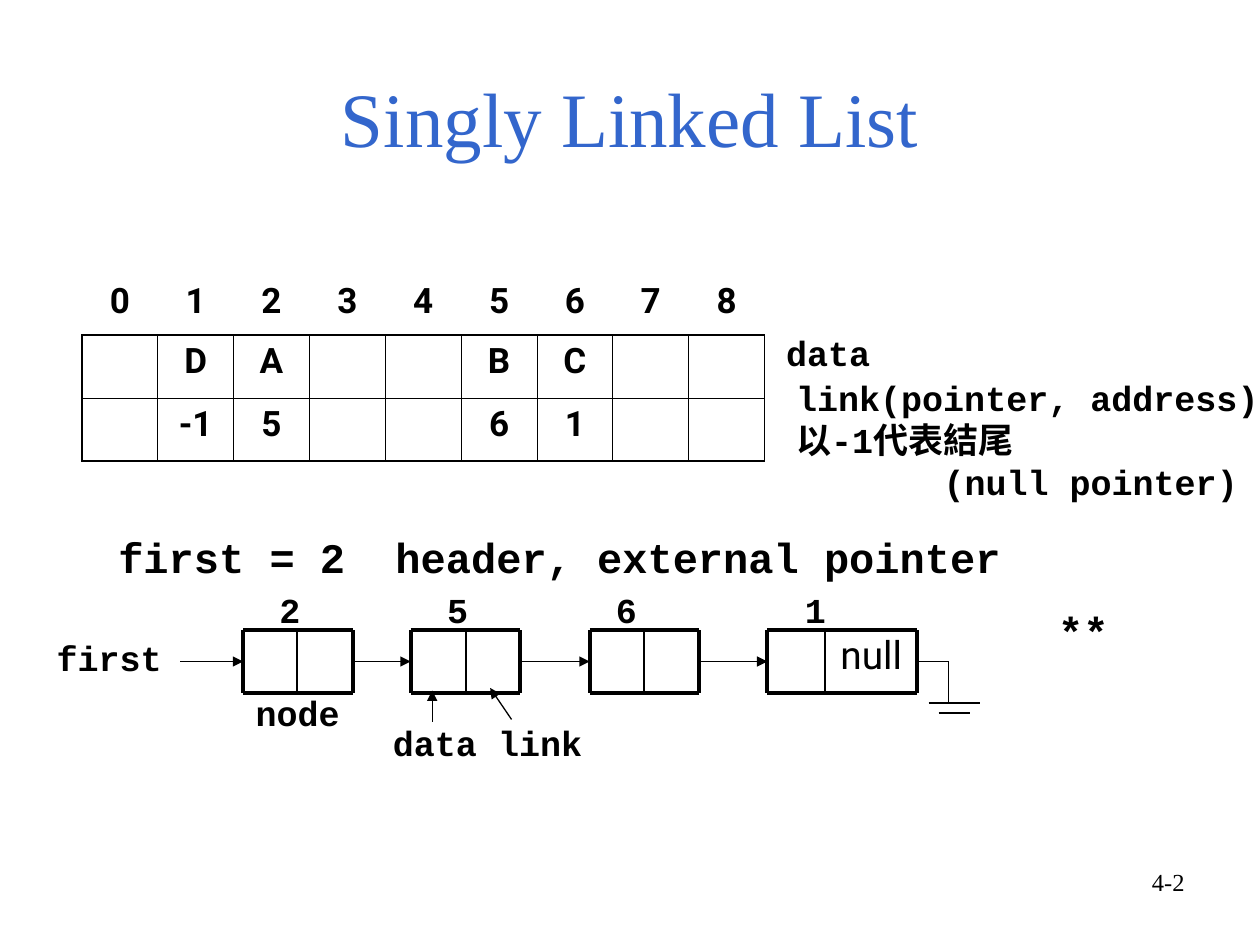
from pptx import Presentation
from pptx.dml.color import RGBColor
from pptx.enum.shapes import MSO_CONNECTOR
from pptx.enum.text import MSO_ANCHOR, MSO_AUTO_SIZE, PP_ALIGN
from pptx.oxml.ns import qn
from pptx.util import Inches, Pt
from lxml import etree

STRAIGHT = MSO_CONNECTOR.STRAIGHT
MIDDLE, GROW = MSO_ANCHOR.MIDDLE, MSO_AUTO_SIZE.SHAPE_TO_FIT_TEXT
LEFT, CENTER, RIGHT = PP_ALIGN.LEFT, PP_ALIGN.CENTER, PP_ALIGN.RIGHT
COLORS = {"title": "3366CC", "ink": "000000"}
MONO, SANS, SERIF = "Courier New", "Roboto", "Times New Roman"
SLIDE_COLS, SLIDE_ROWS = 100, 75
UNIT = Inches(0.1)
NODE_TOP, NODE_H = 50, 5
NODE_BOTTOM, MID = NODE_TOP + NODE_H, NODE_TOP + NODE_H / 2
GROUND_X, GROUND_Y = 75.3, 55.8


def grid(*lengths):
    """Turn grid columns or rows into slide lengths."""
    return [round(n * UNIT) for n in lengths]


def style(p, font, size, bold=False, color="ink", align=LEFT):
    """Format a paragraph and its runs."""
    p.alignment = align
    for r in p.runs:
        r.font.name, r.font.size, r.font.bold = font, Pt(size), bold
        r.font.color.rgb = RGBColor.from_string(COLORS[color])


def add_box(s, text, left, top, width, height, font, size, align):
    """Add a wrapped text box and return its first paragraph."""
    tf = s.shapes.add_textbox(*grid(left, top, width, height)).text_frame
    tf.word_wrap = True
    tf.text = text
    style(tf.paragraphs[0], font, size, align=align)
    return tf.paragraphs[0]


def add_code(s, text, left, top, size=20):
    """Add bold monospaced text in a box sized to its characters."""
    lines = text.split("\n")
    width = 2.05 + max(map(len, lines)) * size / 12
    height = 1 + len(lines) * size / 6
    tf = s.shapes.add_textbox(*grid(left, top, width, height)).text_frame
    tf.word_wrap = False
    tf.auto_size = GROW
    tf.text = text
    for p in tf.paragraphs:
        style(p, MONO, size, bold=True)
    return tf


def add_line(s, x1, y1, x2, y2, width=0.75, arrow=False):
    """Add a straight line, with an arrowhead at its end on request."""
    c = s.shapes.add_connector(STRAIGHT, *grid(x1, y1, x2, y2))
    c.line.width = Pt(width)
    c.line.color.rgb = RGBColor.from_string(COLORS["ink"])
    if arrow:
        etree.SubElement(c.line._get_or_add_ln(), qn("a:tailEnd"), type="triangle")
    etree.SubElement(c._element.spPr, qn("a:effectLst"))


def add_node(s, left, divider, right):
    """Rule a list node split into a data field and a link field."""
    for y in (NODE_TOP, NODE_BOTTOM):
        add_line(s, left, y, right, y, 2.25)
    for x, width in ((left, 2.25), (divider, 1), (right, 2.25)):
        add_line(s, x, NODE_TOP, x, NODE_BOTTOM, width)


def set_border(cell, side, width):
    """Draw one cell border, or hide it when the width is zero."""
    ln = etree.SubElement(cell._tc.get_or_add_tcPr(), qn(f"a:ln{side}"), w=str(Pt(width)))
    if not width:
        etree.SubElement(ln, qn("a:noFill"))
        return
    fill = etree.SubElement(ln, qn("a:solidFill"))
    etree.SubElement(fill, qn("a:srgbClr"), val=COLORS["ink"])


def add_memory_table(s, rows, left, top):
    """Add the array table with an unframed row of indices."""
    thick, thin, heights = 1.08, 0.45, (4.8, 5, 5)
    last_row, last_col = len(rows) - 1, len(rows[0]) - 1
    size = grid(left, top, 6.02 * len(rows[0]), sum(heights))
    table = s.shapes.add_table(len(rows), len(rows[0]), *size).table
    table.first_row = table.horz_banding = False
    for i, values in enumerate(rows):
        table.rows[i].height = grid(heights[i])[0]
        for j, value in enumerate(values):
            cell = table.cell(i, j)
            cell.text = value
            p = cell.text_frame.paragraphs[0]
            style(p, SANS, 20, bold=True, align=CENTER)
            p.space_before = Pt(5)
            set_border(cell, "L", (thin if j else thick) if i else 0)
            set_border(cell, "R", (thin if j < last_col else thick) if i else 0)
            set_border(cell, "T", (thin if i > 1 else thick) if i else 0)
            set_border(cell, "B", thin if 0 < i < last_row else thick)
            cell.fill.background()


def add_title(s, text):
    """Fill and place the title placeholder."""
    title = s.shapes.title
    title.left, title.top, title.width, title.height = grid(5, 3, 90, 12.5)
    title.text_frame.text = text
    title.text_frame.vertical_anchor = MIDDLE
    style(title.text_frame.paragraphs[0], SERIF, 44, color="title", align=CENTER)


def add_linked_list(s):
    """Draw the chain of nodes from the first pointer to the ground."""
    nodes = [("2", 21.2, 19.3, 23.6, 28), ("5", 34.5, 32.6, 37, 41.3),
             ("6", 47.9, 46.8, 51.1, 55.5), ("1", 62.9, 60.9, 65.5, 72.8)]
    tail = 14.3
    for index, label_left, left, divider, right in nodes:
        add_node(s, left, divider, right)
        add_code(s, index, label_left, 46.2)
        add_line(s, tail, MID, left, MID, arrow=True)
        tail = right
    p = add_box(s, "null", 65.5, NODE_TOP, 7.3, NODE_H, SANS, 22.2, CENTER)
    p.line_spacing, p.space_before = 0.9, Pt(6)
    add_line(s, tail, MID, GROUND_X, MID)
    add_line(s, GROUND_X, MID, GROUND_X, GROUND_Y)
    add_line(s, 73.7, GROUND_Y, 77.8, GROUND_Y)
    add_line(s, 74.5, GROUND_Y + 0.8, 77, GROUND_Y + 0.8)
    add_line(s, 34.3, 57.3, 34.3, 54.8, arrow=True)
    add_line(s, 40.6, 57.1, 38.9, 54.6, arrow=True)


def main():
    """Build the linked list slide."""
    prs = Presentation()
    prs.slide_width, prs.slide_height = grid(SLIDE_COLS, SLIDE_ROWS)
    s = prs.slides.add_slide(prs.slide_layouts[5])
    add_title(s, "Singly Linked List")
    rows = [list("012345678"),
            ["", "D", "A", "", "", "B", "C", "", ""],
            ["", "-1", "5", "", "", "6", "1", "", ""]]
    add_memory_table(s, rows, 6.5, 21.8)
    add_code(s, "data", 61.4, 25.8)
    note = add_code(s, "link(pointer, address)\n以-1代表結尾\n(null pointer)", 62.2, 29.4)
    note.paragraphs[2]._p.get_or_add_pPr().set("marL", str(Inches(1.17)))
    add_code(s, "first = 2", 8.4, 41.7, 24)
    add_code(s, "header, external pointer", 30.4, 41.7, 24)
    add_linked_list(s)
    add_code(s, "first", 3.5, 50)
    add_code(s, "node", 19.3, 54.4)
    add_code(s, "data link", 30.2, 56.8)
    add_code(s, "**", 83, 47.6, 24)
    add_box(s, "4-2", 71.7, 68.3, 23.3, 5.2, SERIF, 14, RIGHT)
    prs.save("out.pptx")


if __name__ == "__main__":
    main()
